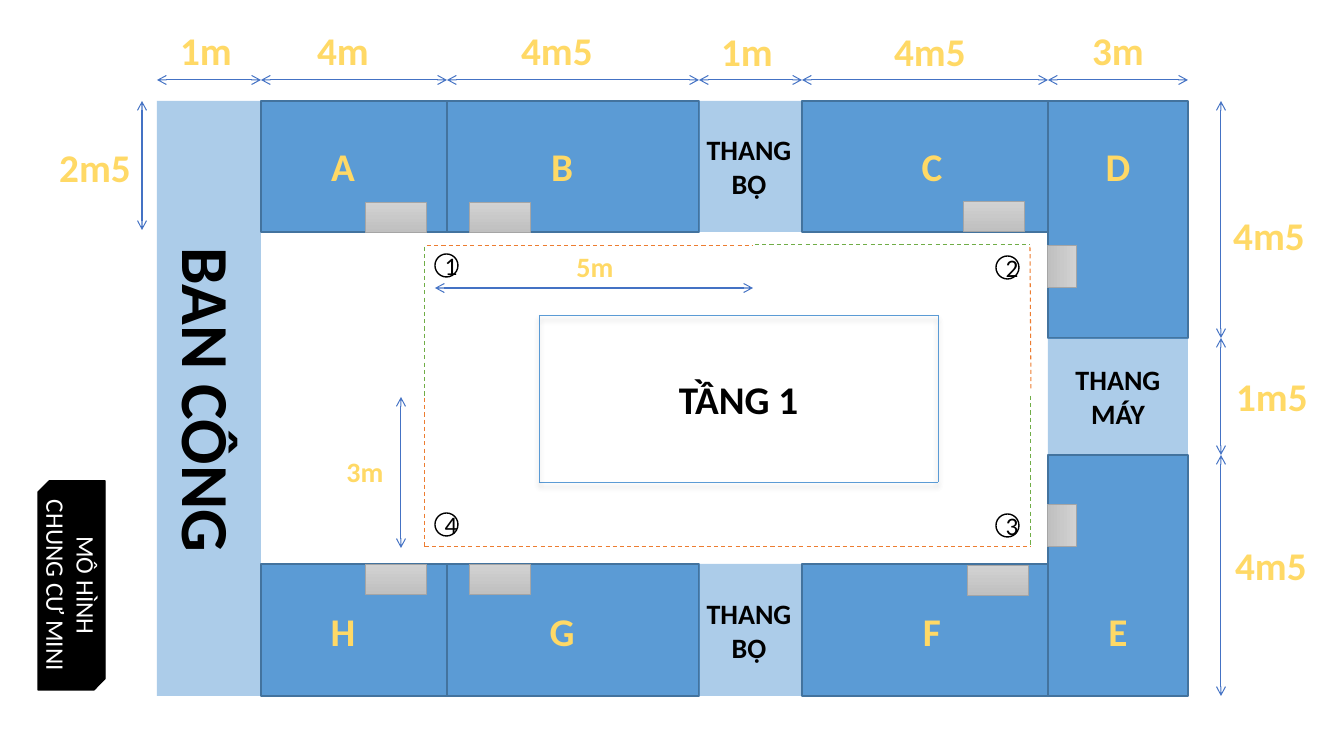
from lxml import etree
from pptx import Presentation
from pptx.dml.color import RGBColor
from pptx.enum.dml import MSO_LINE
from pptx.enum.shapes import MSO_CONNECTOR, MSO_SHAPE
from pptx.enum.text import MSO_ANCHOR as ANCHOR, PP_ALIGN as ALIGN
from pptx.oxml.ns import qn
from pptx.util import Pt

COLORS = {
    "room": "5B9BD5", "room_edge": "43739E", "arrow": "4472C4", "gold": "FFD966",
    "orange": "ED7D31", "green": "70AD47", "black": "000000", "white": "FFFFFF",
    "door_top": "D2D2D2", "door_bottom": "C0C0C0", "door_edge": "A5A5A5",
}
RGB = {name: RGBColor.from_string(value) for name, value in COLORS.items()}
PX = 914400 / 100.8


def write(shape, text, size, color, bold=True):
    """Fill a shape with centred text, one paragraph per line."""
    shape.text_frame.text = text
    for para in shape.text_frame.paragraphs:
        para.alignment = ALIGN.CENTER
        para.font.name = "Calibri"
        para.font.size = Pt(size)
        para.font.bold = bold
        para.font.color.rgb = RGB[color]


def draw_line(ends, color, width=0.75):
    """Draw a straight line and return it with its empty effect list."""
    line = page.shapes.add_connector(MSO_CONNECTOR.STRAIGHT, *[round(v * PX) for v in ends])
    line.line.color.rgb = RGB[color]
    line.line.width = Pt(width)
    effects = etree.SubElement(line._element.spPr, qn("a:effectLst"))
    return line, effects


deck = Presentation()
deck.slide_width, deck.slide_height = round(1344 * PX), round(756 * PX)
page = deck.slides.add_slide(deck.slide_layouts[5])

# Wall positions shared by rooms and dimension arrows
X = [157, 261, 447, 699, 802, 1048, 1188]
Y = [101, 232, 338, 455, 564, 696]

# Rooms, stairs, lift and balcony: column span, row span, is a room
areas = [(0, 1, 0, 5, False), (5, 6, 0, 2, True), (5, 6, 2, 3, False), (5, 6, 3, 5, True)]
for row in (0, 4):
    areas += [(col, col + 1, row, row + 1, col != 3) for col in range(1, 5)]
for col, col_end, row, row_end, is_room in areas:
    left, top = X[col], Y[row]
    bounds = (left, top, X[col_end] - left, Y[row_end] - top)
    area = page.shapes.add_shape(MSO_SHAPE.RECTANGLE, *[round(v * PX) for v in bounds])
    area.shadow.inherit = False
    area.fill.solid()
    area.fill.fore_color.rgb = RGB["room"]
    if is_room:
        area.line.color.rgb = RGB["room_edge"]
        area.line.width = Pt(1)
    else:
        area.line.fill.background()
        fill_color = area._element.spPr.find(qn("a:solidFill"))[0]
        etree.SubElement(fill_color, qn("a:alpha"), val="50000")

# Dashed corridor path
path_parts = [
    (427, 246, 753, 246, "orange"), (755, 245, 1030, 245, "green"),
    (756, 547, 1031, 547, "orange"), (425, 547, 755, 547, "orange"),
    (1030, 247, 1031, 389, "orange"), (1031, 396, 1031, 546, "green"),
    (425, 247, 425, 396, "green"), (425, 398, 425, 547, "orange"),
]
for *ends, color in path_parts:
    line, _ = draw_line(ends, color)
    line.line.dash_style = MSO_LINE.DASH

# Courtyard outline with a soft shadow
left, top, right, bottom = 539, 315, 938, 482
for ends in [(left, top, right, top), (right, top, right, bottom),
             (left, bottom, right, bottom), (left, top, left, bottom)]:
    _, effects = draw_line(ends, "room", 0.5)
    shadow = etree.SubElement(effects, qn("a:outerShdw"), blurRad="50800", dist="38100", dir="5400000")
    shadow_color = etree.SubElement(shadow, qn("a:srgbClr"), val=COLORS["black"])
    etree.SubElement(shadow_color, qn("a:alpha"), val="40000")

# Doors
doors = [(left, top, 61, 30, 0) for left, top in
         [(365, 202), (469, 202), (963, 201), (967, 565), (365, 564), (469, 564)]]
doors += [(1041, top, 42, 29, 90) for top in (252, 511)]
for *bounds, angle in doors:
    door = page.shapes.add_shape(MSO_SHAPE.RECTANGLE, *[round(v * PX) for v in bounds])
    door.shadow.inherit = False
    door.rotation = angle
    door.fill.gradient()
    door.fill.gradient_angle = 270
    for stop, color in zip(door.fill.gradient_stops, ("door_top", "door_bottom")):
        stop.color.rgb = RGB[color]
    door.line.color.rgb = RGB["door_edge"]
    door.line.width = Pt(0.5)

# Dimension arrows along the walls and the path
arrows = [(start, 80, end, 80) for start, end in zip(X, X[1:])]
arrows += [(1221, Y[start], 1221, Y[end]) for start, end in [(0, 2), (2, 3), (3, 5)]]
arrows += [(142, Y[0], 142, 230), (435, 288, 753, 288), (401, 397, 401, 548)]
for ends in arrows:
    line, _ = draw_line(ends, "arrow")
    outline = line.line._get_or_add_ln()
    for tip in ("a:headEnd", "a:tailEnd"):
        etree.SubElement(outline, qn(tip), type="arrow")

# Labels: text, centre, top, width, height, size, colour
labels = [(name, center, top, 46, 57, 28, "gold")
          for names, top in [("ABCD", 137), ("HGFE", 602)]
          for name, center in zip(names, (343, 562, 932, 1118))]
labels += [(text, center, top, 92, 57, 28, "gold") for text, center, top in [
    ("1m", 206, 21), ("4m", 343, 21), ("4m5", 557, 21), ("1m", 747, 22),
    ("4m5", 930, 22), ("3m", 1118, 21), ("2m5", 95, 138),
    ("4m5", 1269, 206), ("1m5", 1272, 367), ("4m5", 1271, 536)]]
labels += [(text, center, top, 57, 44, 20, "gold")
           for text, center, top in [("5m", 595, 245), ("3m", 365, 450)]]
labels += [(text, center, top, 106, 78, 20, "black") for text, center, top in [
    ("THANG\nBỘ", 749, 128), ("THANG\nMÁY", 1118, 358), ("THANG\nBỘ", 749, 592)]]
labels.append(("BAN CÔNG", 209, 354, 330, 92, 48, "black"))
for text, center, top, width, height, size, color in labels:
    bounds = (center - width / 2, top, width, height)
    box = page.shapes.add_textbox(*[round(v * PX) for v in bounds])
    box.text_frame.word_wrap = False
    write(box, text, size, color)
    if text == "BAN CÔNG":
        box.rotation = 90

# Floor title
title = page.shapes.title
title.left, title.top, title.width, title.height = [round(v * PX) for v in (628, 370, 221, 57)]
title.text_frame.vertical_anchor = ANCHOR.TOP
write(title, "TẦNG 1", 28, "black")

# Numbered path corners and the model name plate
markers = [(MSO_SHAPE.OVAL, str(number), left, top, 23, 23, "white", "black")
           for number, left, top in [(1, 435, 254), (2, 996, 256), (3, 996, 514), (4, 435, 513)]]
markers.append((MSO_SHAPE.SNIP_2_DIAG_RECTANGLE, "MÔ HÌNH CHUNG CƯ MINI",
                -33, 552, 209, 67, "black", "white"))
for kind, text, *bounds, fill, color in markers:
    marker = page.shapes.add_shape(kind, *[round(v * PX) for v in bounds])
    marker.shadow.inherit = False
    marker.fill.solid()
    marker.fill.fore_color.rgb = RGB[fill]
    marker.line.color.rgb = RGB["black"]
    marker.line.width = Pt(1)
    marker.text_frame.vertical_anchor = ANCHOR.MIDDLE
    write(marker, text, 18, color, bold=False)
    if kind == MSO_SHAPE.SNIP_2_DIAG_RECTANGLE:
        marker.rotation = 90

deck.save("out.pptx")
